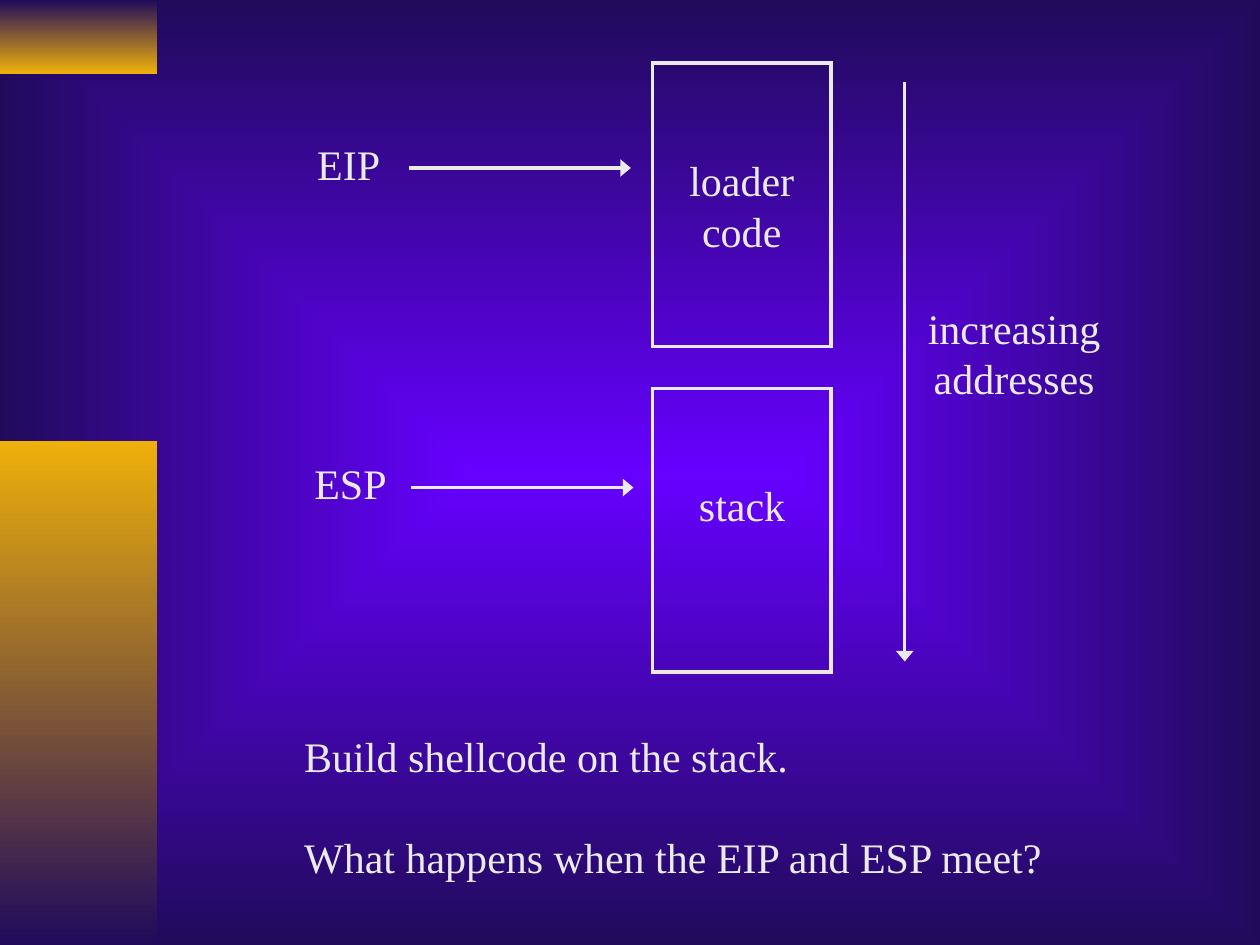
from dataclasses import dataclass

from lxml import etree
from pptx import Presentation
from pptx.dml.color import RGBColor
from pptx.enum.shapes import MSO_CONNECTOR, MSO_SHAPE
from pptx.enum.text import MSO_ANCHOR, MSO_AUTO_SIZE, PP_ALIGN
from pptx.oxml.ns import qn
from pptx.util import Pt

RECTANGLE = MSO_SHAPE.RECTANGLE
STRAIGHT = MSO_CONNECTOR.STRAIGHT
CENTER = PP_ALIGN.CENTER
LEFT = PP_ALIGN.LEFT
TOP = MSO_ANCHOR.TOP
FIT_SHAPE = MSO_AUTO_SIZE.SHAPE_TO_FIT_TEXT

VIOLET = "6600FF"
NAVY = "200B5B"
GOLD = "EEB00B"
PALE = "EAEAEA"
FONT = "Times New Roman"
LINE_HEIGHT = 28.8


@dataclass
class Band:
    top: float
    height: float
    start: str
    end: str


@dataclass
class Label:
    left: float
    top: float
    width: float
    height: float
    paragraphs: list[str]
    alignment: PP_ALIGN = CENTER


@dataclass
class Arrow:
    x1: float
    y1: float
    x2: float
    y2: float


BANDS = [Band(0, 42, NAVY, GOLD), Band(252, 288, GOLD, NAVY)]
MEMORY_BLOCK_TOPS = [36, 222]
ARROWS = [
    Arrow(234.5, 96, 360.5, 96),
    Arrow(236, 278.6, 362, 278.6),
    Arrow(517, 48, 517, 378),
]
LABELS = [
    Label(385.8, 85, 76.2, 64.8, ["loader\vcode"]),
    Label(173, 75.6, 52.4, 36, ["EIP"]),
    Label(522, 169.2, 115, 64.8, ["increasing\vaddresses"]),
    Label(390.9, 270.7, 66.4, 36, ["stack"]),
    Label(171.1, 257.8, 58.4, 36, ["ESP"]),
    Label(166.8, 414, 440, 93.6, [
        "Build shellcode on the stack.",
        "What happens when the EIP and ESP meet?",
    ], LEFT),
]


def color(value: str) -> RGBColor:
    return RGBColor.from_string(value)


def set_gradient(fill, start: str, end: str) -> None:
    fill.gradient()
    for stop, value in zip(fill.gradient_stops, (start, end)):
        stop.color.rgb = color(value)


def set_background(slide) -> None:
    set_gradient(slide.background.fill, VIOLET, NAVY)
    gradient = slide.element.find(".//" + qn("a:gradFill"))
    gradient.remove(gradient.find(qn("a:lin")))
    center = etree.SubElement(gradient, qn("a:path"), {"path": "rect"})
    etree.SubElement(center, qn("a:fillToRect"), dict.fromkeys("ltrb", "50000"))


def add_band(slide, band: Band) -> None:
    shape = slide.shapes.add_shape(RECTANGLE, 0, Pt(band.top), Pt(90), Pt(band.height))
    shape.shadow.inherit = False
    set_gradient(shape.fill, band.start, band.end)
    shape.fill.gradient_angle = 270
    shape.line.fill.background()


def set_outline(shape):
    shape.line.color.rgb = color(PALE)
    shape.line.width = Pt(2)
    outline = shape.element.spPr.find(qn("a:ln"))
    outline.set("cap", "sq")
    etree.SubElement(outline, qn("a:miter"), {"lim": "800000"})
    return outline


def add_memory_block(slide, top: float) -> None:
    shape = slide.shapes.add_shape(RECTANGLE, Pt(373), Pt(top), Pt(102), Pt(162))
    shape.shadow.inherit = False
    shape.fill.background()
    set_outline(shape)


def add_arrow(slide, arrow: Arrow) -> None:
    connector = slide.shapes.add_connector(
        STRAIGHT, Pt(arrow.x1), Pt(arrow.y1), Pt(arrow.x2), Pt(arrow.y2))
    outline = set_outline(connector)
    etree.SubElement(outline, qn("a:tailEnd"), {"type": "triangle", "w": "lg"})
    etree.SubElement(connector.element.spPr, qn("a:effectLst"))


def add_label(slide, label: Label) -> None:
    box = slide.shapes.add_textbox(
        Pt(label.left), Pt(label.top), Pt(label.width), Pt(label.height))
    frame = box.text_frame
    frame.word_wrap = False
    frame.auto_size = FIT_SHAPE
    frame.vertical_anchor = TOP
    for index, text in enumerate(label.paragraphs):
        paragraph = frame.add_paragraph() if index else frame.paragraphs[0]
        paragraph.text = text
        paragraph.alignment = label.alignment
        paragraph.line_spacing = Pt(LINE_HEIGHT)
        if index:
            paragraph.space_before = Pt(LINE_HEIGHT)
        paragraph.font.name = FONT
        paragraph.font.size = Pt(24)
        paragraph.font.color.rgb = color(PALE)


def main() -> None:
    presentation = Presentation()
    presentation.slide_width = Pt(720)
    presentation.slide_height = Pt(540)
    slide = presentation.slides.add_slide(presentation.slide_layouts[6])
    set_background(slide)
    for band in BANDS:
        add_band(slide, band)
    for top in MEMORY_BLOCK_TOPS:
        add_memory_block(slide, top)
    for arrow in ARROWS:
        add_arrow(slide, arrow)
    for label in LABELS:
        add_label(slide, label)
    presentation.save("out.pptx")


if __name__ == "__main__":
    main()
